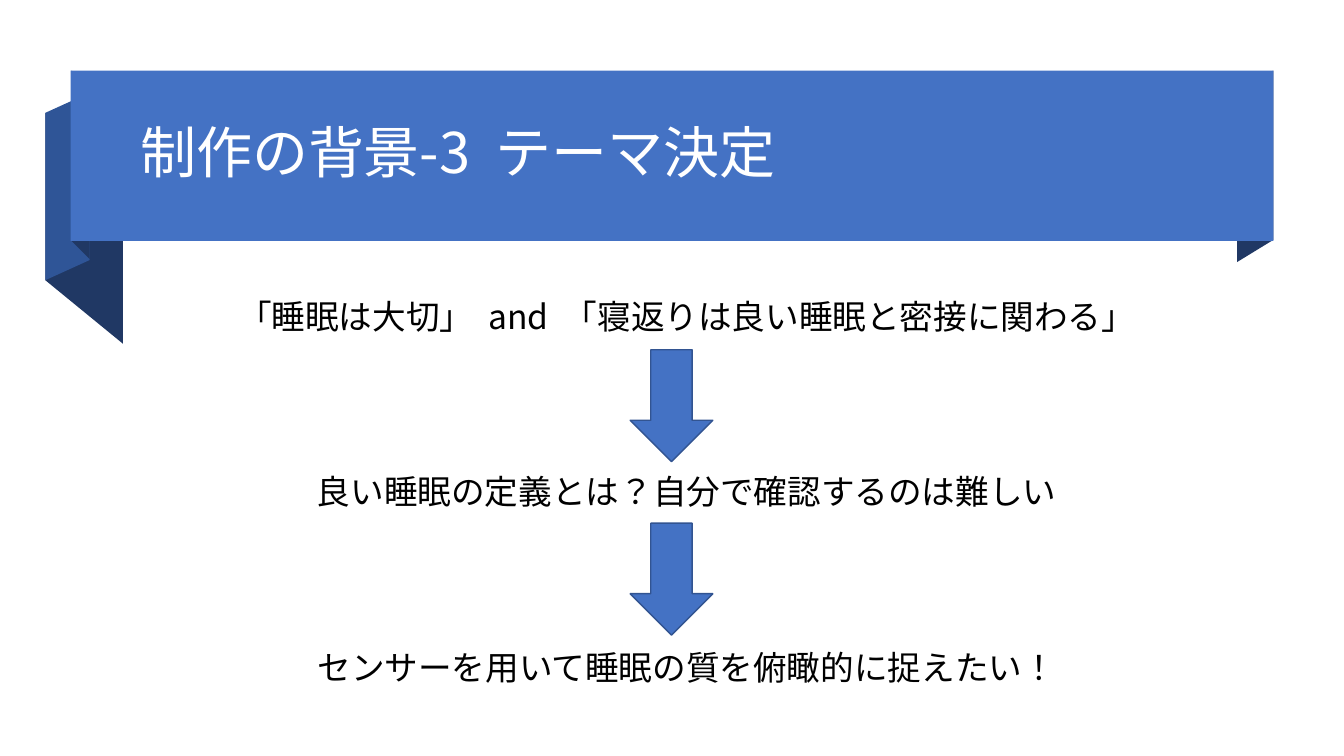
import pptx
import pptx.util
import pptx.dml.color
import pptx.enum.lang
import pptx.enum.shapes
import pptx.enum.text
import lxml.etree
from pptx.util import Inches

RGBColor = pptx.dml.color.RGBColor
BLUE = RGBColor(0x44, 0x72, 0xC4)
MID = RGBColor(0x2F, 0x55, 0x97)
NAVY = RGBColor(0x20, 0x38, 0x64)
EDGE = RGBColor(0x32, 0x54, 0x91)
WHITE = RGBColor(0xFF, 0xFF, 0xFF)
BLACK = RGBColor(0, 0, 0)
FONT = "Noto Sans CJK JP"
KIND = pptx.enum.shapes.MSO_SHAPE
ALIGN = pptx.enum.text.PP_ALIGN
ANCHOR = pptx.enum.text.MSO_ANCHOR
NS = "{http://schemas.openxmlformats.org/drawingml/2006/main}"


def place(shape, box):
    """Move a shape to a box given in inches."""
    shape.left, shape.top, shape.width, shape.height = map(Inches, box)


def paint(shape, fill, edge=None):
    """Give a shape a flat fill and an optional outline."""
    shape.shadow.inherit = False
    shape.fill.solid()
    shape.fill.fore_color.rgb = fill
    if edge is None:
        shape.line.fill.background()
    else:
        shape.line.color.rgb = edge
        shape.line.width = pptx.util.Pt(1)


def write(shape, parts, size, color, align, anchor):
    """Write one paragraph, widening the single spaces between its parts."""
    frame = shape.text_frame
    frame.word_wrap = True
    frame.auto_size = pptx.enum.text.MSO_AUTO_SIZE.NONE
    frame.vertical_anchor = anchor
    para = frame.paragraphs[0]
    para.alignment = align
    para.line_spacing = 0.9
    para.space_before = pptx.util.Pt(0)
    for part in parts:
        run = para.add_run()
        run.text = part
        run.font.size = pptx.util.Pt(size)
        run.font.color.rgb = color
        run.font.name = FONT
        run.font.language_id = pptx.enum.lang.MSO_LANGUAGE_ID.JAPANESE
        props = run.font._element
        lxml.etree.SubElement(props, NS + "ea").set("typeface", FONT)
        if part == " ":
            props.set("spc", str(round(size * 22.5)))
    return para


def ribbon(slide, box, parts):
    """Draw the folded ribbon around its band and set the title on it."""
    left, top, wide, high = box
    folds = [
        (NAVY, [(0.52, 2.71), (-0.25, 2.08), (-0.25, 0.42), (0.52, 1.05)]),
        (MID, [(0.19, 1.88), (-0.25, 2.08), (-0.25, 0.42), (0.19, 0.22)]),
        (NAVY, [(0.19, 1.87), (0.01, 1.69), (0.01, 0), (0.19, 0.19)]),
        (NAVY, [(wide, 1.68), (wide - 0.36, 1.9), (wide - 0.36, 0.21), (wide, 0)]),
    ]
    for color, points in folds:
        spots = [(Inches(left + x), Inches(top + y)) for x, y in points]
        pen = slide.shapes.build_freeform(*spots[0])
        pen.add_line_segments(spots[1:], close=True)
        paint(pen.convert_to_shape(), color)
    band = slide.shapes.add_shape(KIND.RECTANGLE, *map(Inches, box))
    paint(band, BLUE)
    title = slide.shapes.title
    place(title, (left + 0.35, top + 0.18, wide - 0.7, high - 0.36))
    para = write(title, parts, 40, WHITE, ALIGN.LEFT, ANCHOR.MIDDLE)
    props = para._p.get_or_add_pPr()
    props.set("marL", str(Inches(0.24)))
    props.set("indent", "0")
    slide.shapes.element.append(title.element)


def flow(slide, box, steps):
    """Stack the centred statements with a down arrow between each pair."""
    left, top, wide, high = box
    for i, parts in enumerate(steps):
        y = top + 1.74 * i
        if i == 0:
            text = slide.placeholders[1]
            place(text, (left, y, wide, high))
        else:
            text = slide.shapes.add_textbox(*map(Inches, (left, y, wide, high)))
            spot = (left + 4.75, top + 0.54 + 1.72 * (i - 1), 0.82, 1.11)
            arrow = slide.shapes.add_shape(KIND.DOWN_ARROW, *map(Inches, spot))
            paint(arrow, BLUE, EDGE)
        para = write(text, parts, 24, BLACK, ALIGN.CENTER, ANCHOR.TOP)
        if i == 0:
            props = para._p.get_or_add_pPr()
            props.set("marL", "0")
            props.set("indent", "0")
            lxml.etree.SubElement(props, NS + "buNone")


def main():
    """Build and save the slide."""
    deck = pptx.Presentation()
    deck.slide_width, deck.slide_height = Inches(13.33), Inches(7.5)
    slide = deck.slides.add_slide(deck.slide_layouts[1])
    ribbon(slide, (0.7, 0.7, 11.93, 1.69), ["制作の背景-3", " ", "テーマ決定"])
    flow(slide, (1.5, 2.93, 10.62, 0.48), [
        ["「睡眠は大切」", " ", "and", " ", "「寝返りは良い睡眠と密接に関わる」"],
        ["良い睡眠の定義とは？自分で確認するのは難しい"],
        ["センサーを用いて睡眠の質を俯瞰的に捉えたい！"],
    ])
    deck.save("out.pptx")


if __name__ == "__main__":
    main()
